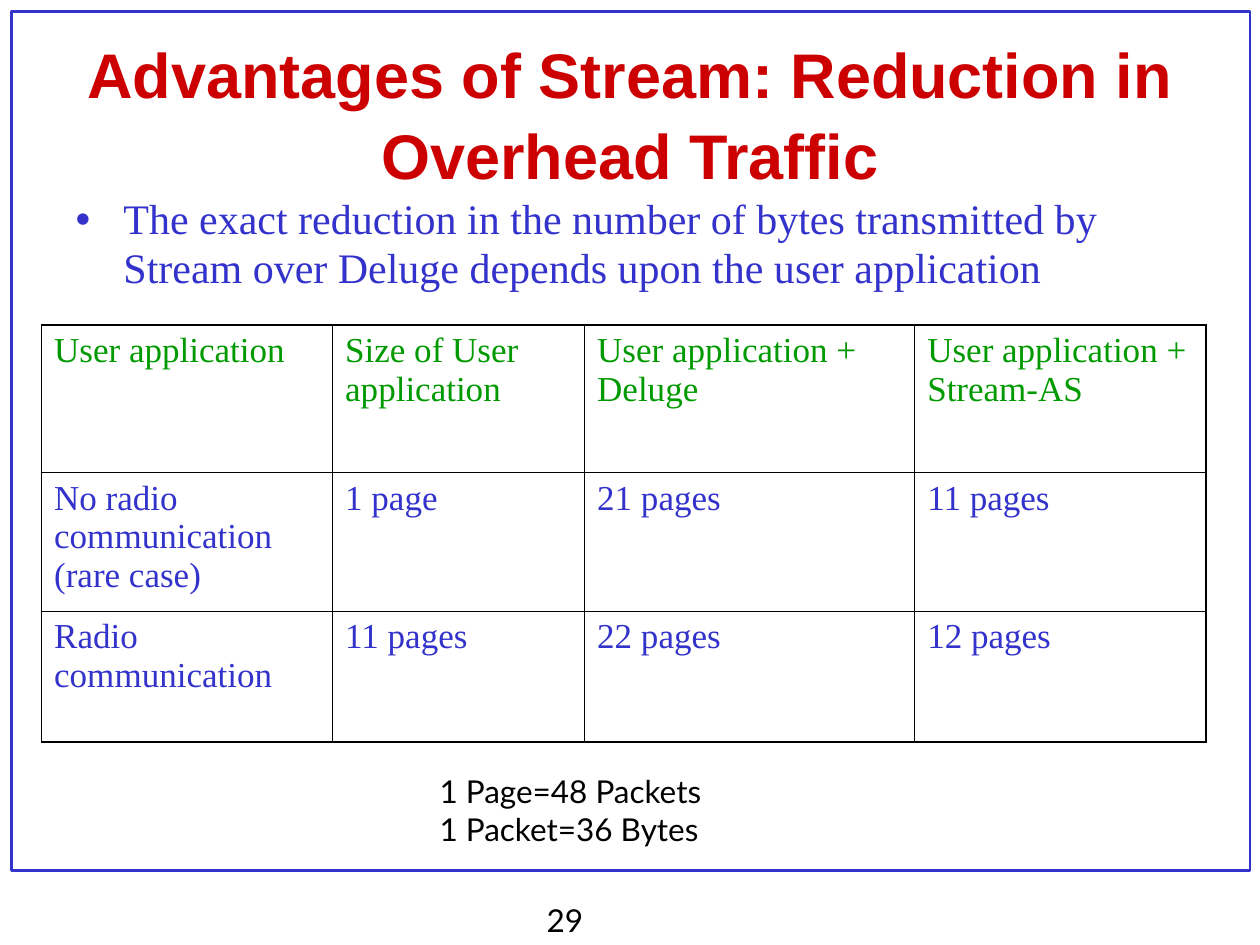
import pptx
import pptx.util
import pptx.dml.color
import pptx.enum.shapes
import pptx.enum.text
import pptx.oxml
import pptx.oxml.ns
from lxml import etree

Inches = pptx.util.Inches
Pt = pptx.util.Pt
RGBColor = pptx.dml.color.RGBColor
qn = pptx.oxml.ns.qn

BLUE = RGBColor(0x33, 0x33, 0xCC)
RED = RGBColor(0xCC, 0x00, 0x00)
GREEN = RGBColor(0x00, 0x99, 0x00)
BLACK = RGBColor(0x00, 0x00, 0x00)

ROWS = [
    ["User application", "Size of User application",
     "User application + Deluge", "User application + Stream-AS"],
    ["No radio communication (rare case)", "1 page", "21 pages", "11 pages"],
    ["Radio communication", "11 pages", "22 pages", "12 pages"],
]
COL_WIDTHS = [2.31, 2, 2.62, 2.31]
ROW_HEIGHTS = [1.17, 1.1, 1.04]


class SlideBuilder:
    heading_font = "Arial"
    body_font = "Times New Roman"
    note_font = "Lato"
    thick, thin = 1.08, 0.45

    def __init__(self, prs):
        self.s = prs.slides.add_slide(prs.slide_layouts[1])

    def box(self, left, top, width, height):
        return Inches(left), Inches(top), Inches(width), Inches(height)

    def run(self, p, text, font, size, color, bold=False):
        r = p.add_run()
        r.text = text
        r.font.name = font
        r.font.size = Pt(size)
        r.font.bold = bold
        r.font.color.rgb = color

    def place(self, sp, *at):
        sp.left, sp.top, sp.width, sp.height = self.box(*at)
        tf = sp.text_frame
        tf.auto_size = pptx.enum.text.MSO_AUTO_SIZE.NONE
        tf.word_wrap = True
        return tf

    def frame(self, *at):
        sp = self.s.shapes.add_shape(
            pptx.enum.shapes.MSO_SHAPE.RECTANGLE, *self.box(*at))
        sp.shadow.inherit = False
        sp.fill.background()
        sp.line.color.rgb = BLUE
        sp.line.width = Pt(1.5)

    def title(self, text, *at):
        tf = self.place(self.s.shapes.title, *at)
        tf.vertical_anchor = pptx.enum.text.MSO_ANCHOR.MIDDLE
        p = tf.paragraphs[0]
        p.alignment = pptx.enum.text.PP_ALIGN.CENTER
        p.line_spacing = 1.08
        self.run(p, text, self.heading_font, 36, RED, True)

    def bullet(self, text, *at):
        tf = self.place(self.s.placeholders[1], *at)
        p = tf.paragraphs[0]
        pPr = p._p.get_or_add_pPr()
        pPr.set("marL", str(Inches(0.38)))
        pPr.set("indent", str(-Inches(0.38)))
        bu_clr = etree.SubElement(pPr, qn("a:buClr"))
        etree.SubElement(bu_clr, qn("a:srgbClr"), val=str(BLUE))
        etree.SubElement(pPr, qn("a:buChar"), char="•")
        p.line_spacing = 0.97
        p.space_before = Pt(0)
        self.run(p, text, self.body_font, 24, BLUE)

    def note(self, lines, *at):
        tf = self.s.shapes.add_textbox(*self.box(*at)).text_frame
        tf.word_wrap = True
        for i, line in enumerate(lines):
            p = tf.add_paragraph() if i else tf.paragraphs[0]
            self.run(p, line, self.note_font, 18, BLACK)

    def borders(self, cell, outer):
        tcPr = cell._tc.get_or_add_tcPr()
        for i, (side, is_outer) in enumerate(outer.items()):
            width = self.thick if is_outer else self.thin
            ln = etree.Element(qn("a:ln" + side), w=str(Pt(width)))
            fill = etree.SubElement(ln, qn("a:solidFill"))
            etree.SubElement(fill, qn("a:srgbClr"), val=str(BLACK))
            tcPr.insert(i, ln)

    def table(self, rows, widths, heights, left, top):
        last_row, last_col = len(rows) - 1, len(widths) - 1
        table = self.s.shapes.add_table(
            len(rows), len(widths),
            *self.box(left, top, sum(widths), sum(heights))).table
        table.first_row = False
        table.horz_banding = False
        for col, width in zip(table.columns, widths):
            col.width = Inches(width)
        for i, (row, height) in enumerate(zip(rows, heights)):
            table.rows[i].height = Inches(height)
            for j, text in enumerate(row):
                cell = table.cell(i, j)
                cell.fill.background()
                self.borders(cell, {"L": j == 0, "R": j == last_col,
                                    "T": i == 0, "B": i == last_row})
                self.run(cell.text_frame.paragraphs[0], text, self.body_font,
                         20, BLUE if i else GREEN)


def main():
    prs = pptx.Presentation()
    prs.slide_width = Inches(10)
    prs.slide_height = Inches(7.5)
    b = SlideBuilder(prs)
    b.frame(0.09, 0.09, 9.83, 6.82)
    b.note(["29"], 4.24, 7.1, 1.42, 0.44)
    b.title("Advantages of Stream: Reduction in Overhead Traffic",
            0.5, 0.42, 9, 0.92)
    b.bullet("The exact reduction in the number of bytes transmitted by "
             "Stream over Deluge depends upon the user application",
             0.5, 1.5, 9, 1.5)
    b.table(ROWS, COL_WIDTHS, ROW_HEIGHTS, 0.33, 2.58)
    b.note(["1 Page=48 Packets", "1 Packet=36 Bytes"], 3.39, 6.08, 2.38, 0.7)
    prs.save("out.pptx")


if __name__ == "__main__":
    main()
